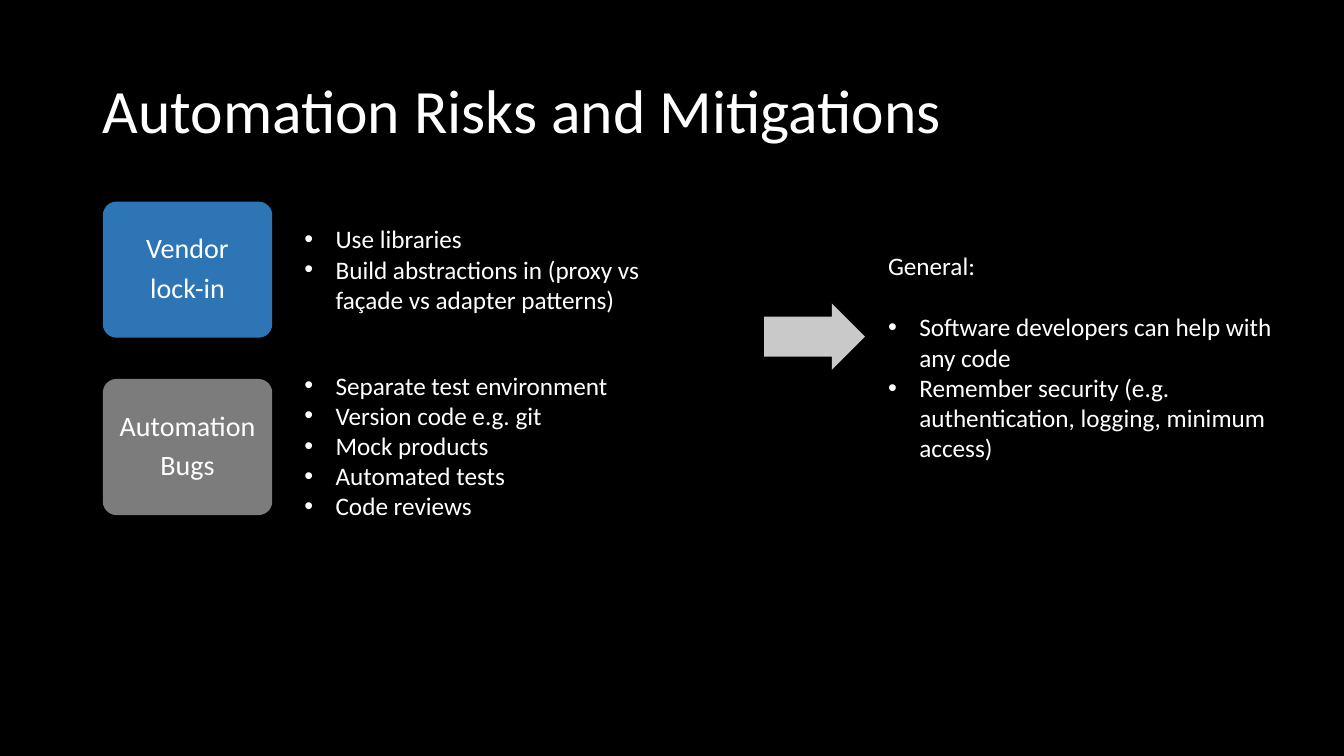
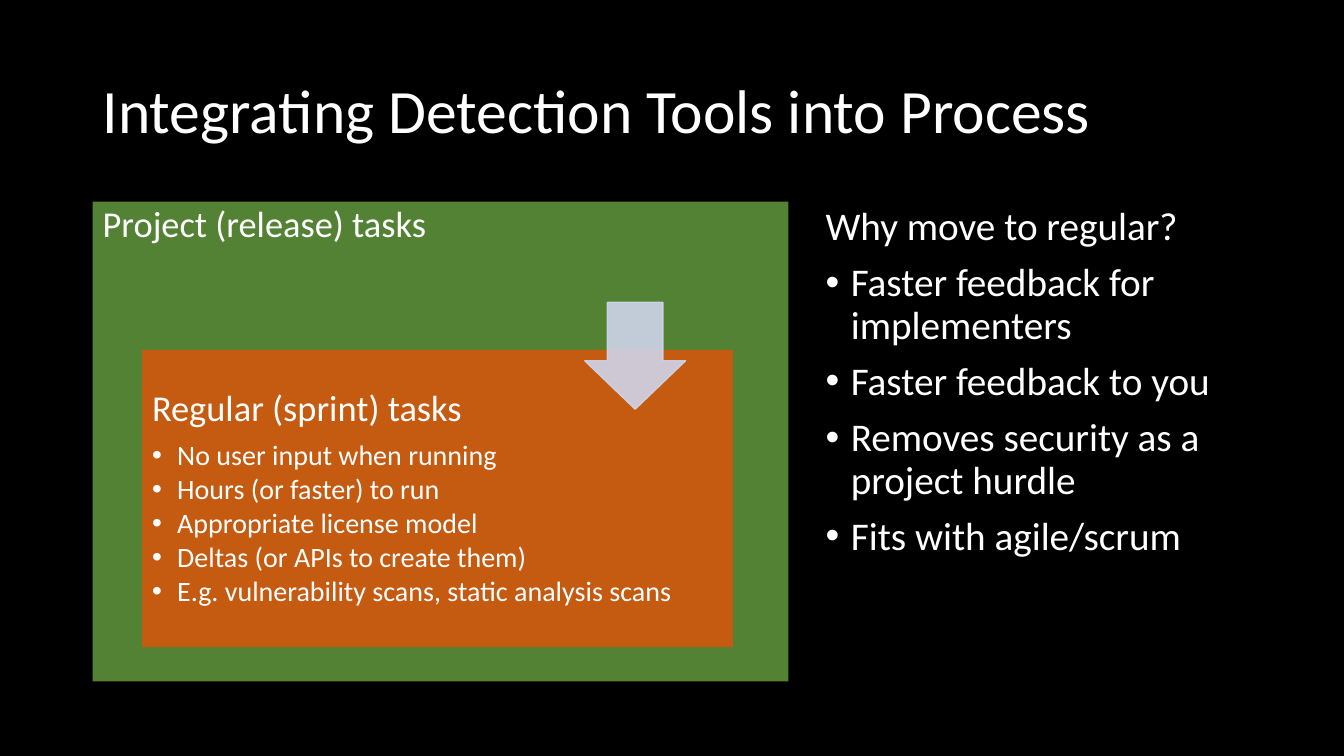
from pptx import Presentation
from pptx.dml.color import RGBColor as RGB
from pptx.enum.shapes import MSO_SHAPE as Kind
from pptx.enum.text import MSO_ANCHOR as Anchor, PP_ALIGN as Align
from pptx.oxml.ns import qn
from pptx.util import Inches, Pt
from lxml.etree import SubElement as Sub

FONT = "Calibri"
HEX = {"back": "000000", "text": "FFFFFF", "blue": "2E75B6", "gray": "7C7C7C",
       "arrow": "C9C9C9", "green": "548235", "orange": "C55A11", "pale": "CFD5EA"}


def add(slide, box, kind=None, fill=None, adjust=()):
    """Add a text box, or a filled preset shape when a kind is given."""
    box = [Inches(n) for n in box]
    if kind is None:
        return slide.shapes.add_textbox(*box)
    shape = slide.shapes.add_shape(kind, *box)
    shape.shadow.inherit = False
    shape.fill.solid()
    shape.fill.fore_color.rgb = RGB.from_string(HEX[fill])
    shape.line.fill.background()
    for i, value in enumerate(adjust):
        shape.adjustments[i] = value
    return shape


def write(shape, lines, size, indent=0, before=0, after=0, space=1.0,
          align=Align.LEFT, anchor=Anchor.TOP):
    """Append paragraphs of one style; a positive indent makes them bullets."""
    frame = shape.text_frame
    frame.word_wrap = True
    frame.vertical_anchor = anchor
    for line in lines:
        para = frame.add_paragraph() if frame.text else frame.paragraphs[0]
        para.text = line
        para.alignment = align
        para.line_spacing = space
        para.space_before, para.space_after = Pt(before), Pt(after)
        font = para.runs[0].font
        font.name, font.size = FONT, Pt(size)
        font.color.rgb = RGB.from_string(HEX["text"])
        if indent:
            props = para._p.get_or_add_pPr()
            props.set("marL", str(Inches(indent)))
            props.set("indent", str(-Inches(indent)))
            Sub(props, qn("a:buFont"), typeface="Arial")
            Sub(props, qn("a:buChar"), char="•")


deck = Presentation()
deck.slide_width, deck.slide_height = Inches(13.33), Inches(7.5)

# Shared background and title
slides = []
for title in ["Automation Risks and Mitigations",
              "Integrating Detection Tools into Process"]:
    slide = deck.slides.add_slide(deck.slide_layouts[6])
    slide.background.fill.solid()
    slide.background.fill.fore_color.rgb = RGB.from_string(HEX["back"])
    write(add(slide, (0.92, 0.4, 11.5, 1.45)), [title], 44, space=0.9,
          anchor=Anchor.MIDDLE)
    slides.append(slide)
risks, tools = slides

# Slide 1: each risk with its mitigations
rows = [
    (["Vendor", "lock-in"], "blue", 2.17,
     ["Use libraries",
      "Build abstractions in (proxy vs façade vs adapter patterns)"]),
    (["Automation", "Bugs"], "gray", 3.62,
     ["Separate test environment", "Version code e.g. git", "Mock products",
      "Automated tests", "Code reviews"]),
]
for i, (name, fill, top, fixes) in enumerate(rows):
    card = add(risks, (1.02, 2 + 1.76 * i, 1.68, 1.35),
               Kind.ROUNDED_RECTANGLE, fill, [0.1])
    frame = card.text_frame
    frame.margin_left = frame.margin_right = Inches(0.08)
    write(card, name, 20, after=6.6, space=0.9, align=Align.CENTER,
          anchor=Anchor.MIDDLE)
    write(add(risks, (2.92, top, 4.08, 1)), fixes, 18, indent=0.31)

# Slide 1: general advice
add(risks, (7.58, 3.01, 1, 0.66), Kind.RIGHT_ARROW, "arrow", [0.6, 0.5])
advice = add(risks, (8.71, 1.74, 4.14, 3.6))
write(advice, ["General:"], 18, after=22, anchor=Anchor.MIDDLE)
write(advice, ["Software developers can help with any code",
               "Remember security (e.g. authentication, logging, minimum access)"],
      18, indent=0.31, anchor=Anchor.MIDDLE)

# Slide 2: reasons
why = add(tools, (8.09, 2, 4.33, 4.76))
write(why, ["Why move to regular?"], 28, before=10, space=0.9)
write(why, ["Faster feedback for implementers", "Faster feedback to you",
            "Removes security as a project hurdle", "Fits with agile/scrum"],
      28, indent=0.25, before=10, space=0.9)

# Slide 2: regular tasks nested in project tasks
outer = add(tools, (0.92, 2, 6.9, 4.76), Kind.RECTANGLE, "green")
write(outer, ["Project (release) tasks"], 26, space=0.9)
inner = add(tools, (1.41, 3.47, 5.86, 2.95), Kind.RECTANGLE, "orange")
write(inner, ["Regular (sprint) tasks"], 26, after=8.6, space=0.9)
write(inner, ["No user input when running", "Hours (or faster) to run",
              "Appropriate license model", "Deltas (or APIs to create them)",
              "E.g. vulnerability scans, static analysis scans"],
      20, indent=0.25, after=2.7, space=0.9, anchor=Anchor.MIDDLE)

# Slide 2: translucent arrow between the two
arrow = add(tools, (5.8, 3, 1, 1.06), Kind.DOWN_ARROW, "pale", [0.55, 0.48])
arrow.line.color.rgb = RGB.from_string(HEX["pale"])
arrow.line.width = Pt(1)
for color in arrow._element.spPr.iter(qn("a:srgbClr")):
    Sub(color, qn("a:alpha"), val="90000")

deck.save("out.pptx")
